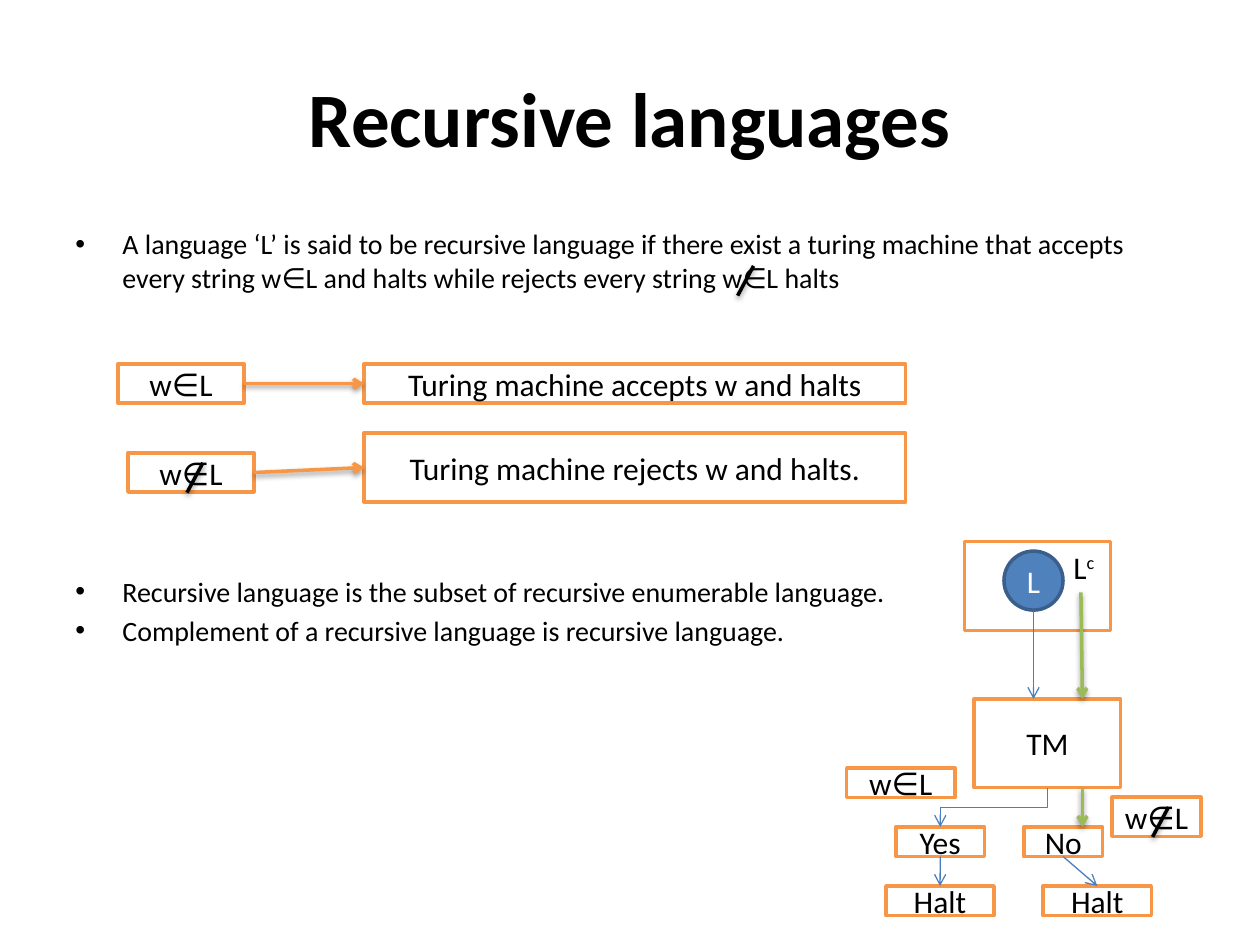
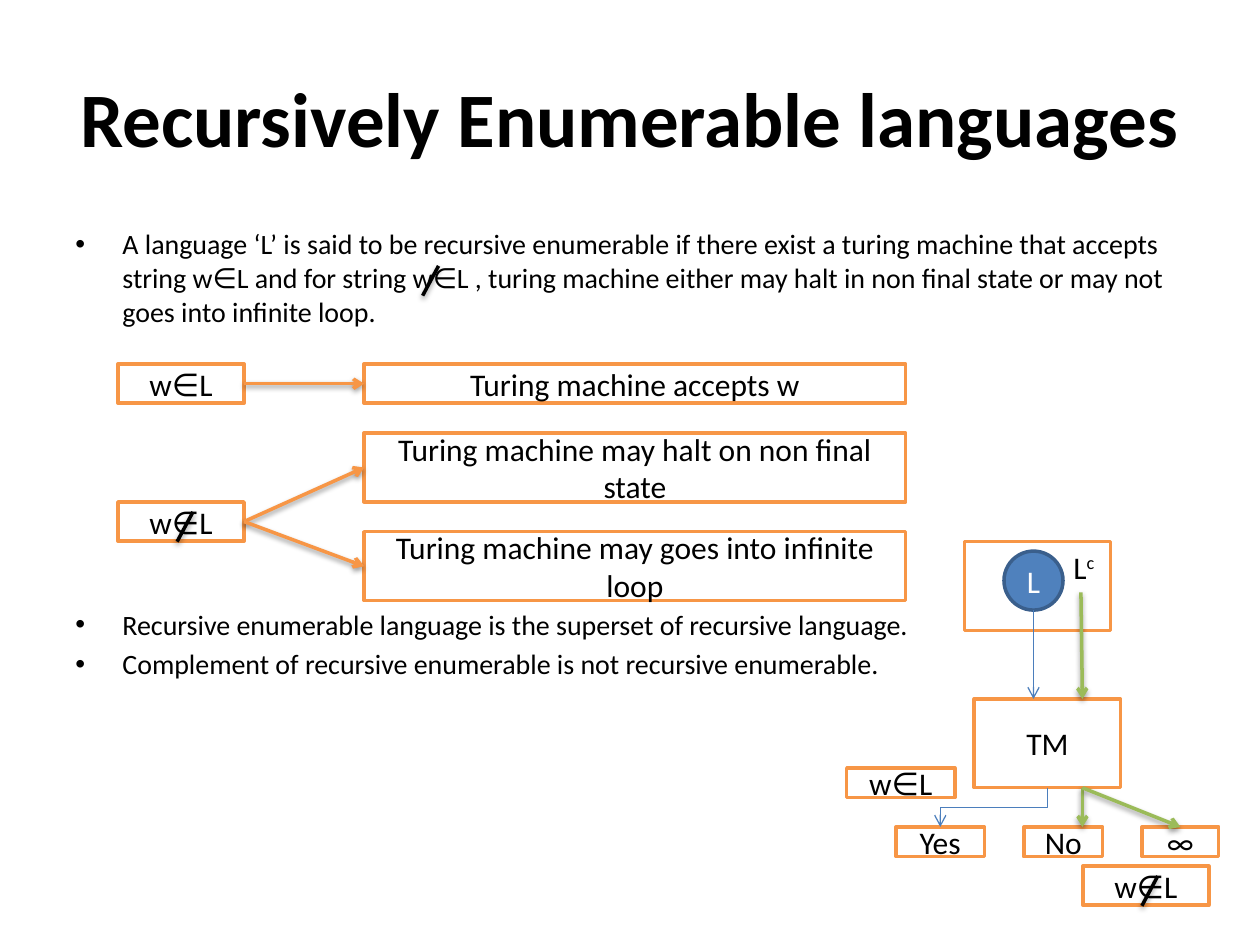
from dataclasses import dataclass
from typing import Any, NamedTuple

from lxml.etree import SubElement
from pptx import Presentation
from pptx.dml.color import RGBColor
from pptx.enum.shapes import MSO_CONNECTOR, MSO_SHAPE
from pptx.enum.text import MSO_ANCHOR, PP_ALIGN
from pptx.oxml.ns import qn
from pptx.util import Cm, Pt

BLACK = RGBColor(0x00, 0x00, 0x00)
WHITE = RGBColor(0xFF, 0xFF, 0xFF)
ORANGE = RGBColor(0xF7, 0x96, 0x46)
BLUE = RGBColor(0x4F, 0x81, 0xBD)
DARK_BLUE = RGBColor(0x3A, 0x5F, 0x8C)
LINE_BLUE = RGBColor(0x4B, 0x7E, 0xBC)
GREEN = RGBColor(0x9B, 0xBB, 0x59)

FONT = "Calibri"
MEMBER = "w∈L"
BULLET_INDENT = Cm(0.95)
REMARK_GAP = Pt(160)
BULLET_GAP = Pt(3.2)


class Point(NamedTuple):
    x: float
    y: float


@dataclass(frozen=True)
class Box:
    left: float
    top: float
    width: float
    height: float
    text: str = ""
    struck: bool = False
    shape_type: MSO_SHAPE = MSO_SHAPE.RECTANGLE
    fill: RGBColor = WHITE
    line: RGBColor = ORANGE
    text_color: RGBColor = BLACK

    @property
    def lengths(self) -> list[Cm]:
        return [Cm(value) for value in (self.left, self.top, self.width, self.height)]

    @property
    def top_center(self) -> Point:
        return Point(self.left + self.width / 2, self.top)

    @property
    def bottom_center(self) -> Point:
        return Point(self.left + self.width / 2, self.top + self.height)

    @property
    def left_middle(self) -> Point:
        return Point(self.left, self.top + self.height / 2)

    @property
    def right_middle(self) -> Point:
        return Point(self.left + self.width, self.top + self.height / 2)


class Arrow(NamedTuple):
    start: Point
    end: Point
    color: RGBColor
    elbow: bool = False


@dataclass(frozen=True)
class LanguageSlide:
    title: str
    definition: str
    remarks: list[str]
    definition_slash: Point
    boxes: list[Box]
    arrows: list[Arrow]


TITLE = Box(1.27, 0.76, 22.86, 3.18)
BODY = Box(1.27, 4.45, 22.86, 12.57)
COMPLEMENT = Box(21.39, 10.92, 0.97, 1.02)


def member_box(left: float, top: float, width: float = 2.54, struck: bool = True) -> Box:
    return Box(left, top, width, 0.79, MEMBER, struck)


def outcome_box(top: float, height: float, text: str) -> Box:
    return Box(7.34, top, 10.92, height, text)


def answer_box(left: float, width: float, text: str, top: float = 16.67) -> Box:
    return Box(left, top, width, 0.6, text)


ACCEPTED = member_box(2.38, 7.34, struck=False)
UNIVERSE = Box(19.44, 10.92, 2.95, 1.79)
LANGUAGE = Box(20.24, 11.11, 1.19, 1.19, "L", shape_type=MSO_SHAPE.OVAL,
               fill=BLUE, line=DARK_BLUE, text_color=WHITE)
MACHINE = Box(19.64, 14.09, 2.95, 1.79, "TM")
YES = answer_box(18.06, 1.79, "Yes")
NO = answer_box(20.64, 1.59, "No")
INFINITY = answer_box(23.02, 1.55, "∞")
ACCEPTED_LABEL = answer_box(17.07, 2.18, MEMBER, top=15.48)
HALTS = [answer_box(left, 2.18, "Halt", top=17.86) for left in (17.86, 21.03)]
COMPLEMENT_EXIT = Point(21.82, MACHINE.bottom_center.y)

MACHINE_BOXES = [UNIVERSE, LANGUAGE, MACHINE, YES, NO, ACCEPTED_LABEL]
MACHINE_ARROWS = [
    Arrow(LANGUAGE.bottom_center, Point(LANGUAGE.bottom_center.x, MACHINE.top), LINE_BLUE),
    Arrow(MACHINE.bottom_center, YES.top_center, LINE_BLUE, elbow=True),
    Arrow(Point(21.79, 11.94), Point(COMPLEMENT_EXIT.x, MACHINE.top), GREEN),
    Arrow(COMPLEMENT_EXIT, Point(COMPLEMENT_EXIT.x, NO.top), GREEN),
]


def outcome_arrows(source: Box, outcomes: list[Box]) -> list[Arrow]:
    return [Arrow(source.right_middle, outcome.left_middle, ORANGE) for outcome in outcomes]


RECURSIVE_REJECTED = member_box(2.58, 9.13)
RECURSIVE_ACCEPTS = outcome_box(7.34, 0.79, "Turing machine accepts w and halts")
RECURSIVE_REJECTS = outcome_box(8.73, 1.39, "Turing machine rejects w and halts.")
ENUMERABLE_REJECTED = member_box(2.38, 10.12)
ENUMERABLE_ACCEPTS = outcome_box(7.34, 0.79, "Turing machine accepts w")
ENUMERABLE_OUTCOMES = [
    outcome_box(8.73, 1.39, "Turing machine may halt on non final state"),
    outcome_box(10.72, 1.39, "Turing machine may goes into infinite loop"),
]

SLIDES = [
    LanguageSlide(
        "Recursive languages",
        "A language ‘L’ is said to be recursive language if there exist a turing machine "
        "that accepts every string w∈L and halts while rejects every string w∈L halts",
        ["Recursive language is the subset of recursive enumerable language.",
         "Complement of a recursive language is recursive language."],
        Point(15.19, 5.36),
        [ACCEPTED, RECURSIVE_ACCEPTS, RECURSIVE_REJECTED, RECURSIVE_REJECTS,
         *MACHINE_BOXES, member_box(22.42, 16.07, 1.79), *HALTS],
        [*MACHINE_ARROWS,
         *outcome_arrows(ACCEPTED, [RECURSIVE_ACCEPTS]),
         *outcome_arrows(RECURSIVE_REJECTED, [RECURSIVE_REJECTS]),
         *[Arrow(answer.bottom_center, halt.top_center, LINE_BLUE)
           for answer, halt in zip((YES, NO), HALTS)]],
    ),
    LanguageSlide(
        "Recursively Enumerable languages",
        "A language ‘L’ is said to be recursive enumerable if there exist a turing machine "
        "that accepts string w∈L and for string w∈L , turing machine either may halt in "
        "non final state or may not goes into infinite loop.",
        ["Recursive enumerable language is the superset of recursive language.",
         "Complement of recursive enumerable is not recursive enumerable."],
        Point(8.84, 5.36),
        [ACCEPTED, ENUMERABLE_ACCEPTS, ENUMERABLE_REJECTED, *ENUMERABLE_OUTCOMES,
         *MACHINE_BOXES, INFINITY, member_box(21.83, 17.46)],
        [*MACHINE_ARROWS,
         Arrow(COMPLEMENT_EXIT, INFINITY.top_center, GREEN),
         *outcome_arrows(ACCEPTED, [ENUMERABLE_ACCEPTS]),
         *outcome_arrows(ENUMERABLE_REJECTED, ENUMERABLE_OUTCOMES)],
    ),
]


def apply_format(target: Any, values: dict[str, Any]) -> None:
    for name, value in values.items():
        setattr(target, name, value)


def add_run(paragraph: Any, text: str, size: float, color: RGBColor = BLACK,
            bold: bool = False) -> Any:
    run = paragraph.add_run()
    run.text = text
    apply_format(run.font, {"name": FONT, "size": Pt(size), "bold": bold})
    run.font.color.rgb = color
    return run


def add_title(slide: Any, text: str) -> None:
    title = slide.shapes.title
    apply_format(title, dict(zip(("left", "top", "width", "height"), TITLE.lengths)))
    title.text_frame.vertical_anchor = MSO_ANCHOR.MIDDLE
    paragraph = title.text_frame.paragraphs[0]
    paragraph.alignment = PP_ALIGN.CENTER
    add_run(paragraph, text, 44, bold=True)


def add_body(slide: Any, definition: str, remarks: list[str]) -> None:
    text_frame = slide.shapes.add_textbox(*BODY.lengths).text_frame
    text_frame.word_wrap = True
    gaps = [Pt(0), REMARK_GAP] + [BULLET_GAP] * (len(remarks) - 1)
    for index, (text, gap) in enumerate(zip([definition, *remarks], gaps)):
        paragraph = text_frame.add_paragraph() if index else text_frame.paragraphs[0]
        properties = paragraph._p.get_or_add_pPr()
        properties.set("marL", str(BULLET_INDENT))
        properties.set("indent", str(-BULLET_INDENT))
        SubElement(properties, qn("a:buFont"), typeface="Arial")
        SubElement(properties, qn("a:buChar"), char="•")
        paragraph.space_before = gap
        add_run(paragraph, text, 16)


def add_box(slide: Any, box: Box) -> None:
    shape = slide.shapes.add_shape(box.shape_type, *box.lengths)
    shape.shadow.inherit = False
    shape.fill.solid()
    shape.fill.fore_color.rgb = box.fill
    shape.line.color.rgb = box.line
    shape.line.width = Pt(2)
    if box.text:
        shape.text_frame.vertical_anchor = MSO_ANCHOR.MIDDLE
        paragraph = shape.text_frame.paragraphs[0]
        paragraph.alignment = PP_ALIGN.CENTER
        add_run(paragraph, box.text, 18, box.text_color)
    if box.struck:
        add_slash(slide, Point(box.top_center.x + 0.24, box.top + 0.2))


def add_complement_label(slide: Any) -> None:
    text_frame = slide.shapes.add_textbox(*COMPLEMENT.lengths).text_frame
    text_frame.word_wrap = False
    paragraph = text_frame.paragraphs[0]
    add_run(paragraph, "L", 18)
    superscript = add_run(paragraph, "c", 18)
    superscript._r.get_or_add_rPr().set("baseline", "30000")


def add_line(slide: Any, start: Point, end: Point, color: RGBColor, width: float,
             shadow: bool, kind: MSO_CONNECTOR = MSO_CONNECTOR.STRAIGHT) -> Any:
    connector = slide.shapes.add_connector(
        kind, Cm(start.x), Cm(start.y), Cm(end.x), Cm(end.y))
    connector.line.color.rgb = color
    connector.line.width = Pt(width)
    effects = SubElement(connector.element.spPr, qn("a:effectLst"))
    if shadow:
        outer = SubElement(effects, qn("a:outerShdw"), blurRad=str(Pt(3.1)),
                           dist=str(Pt(1.6)), dir="5400000", rotWithShape="0")
        shade = SubElement(outer, qn("a:srgbClr"), val=str(BLACK))
        SubElement(shade, qn("a:alpha"), val="38000")
    return connector


def add_slash(slide: Any, top: Point) -> None:
    add_line(slide, top, Point(top.x - 0.32, top.y + 0.6), BLACK, 2, shadow=True)


def add_arrow(slide: Any, arrow: Arrow) -> None:
    start, end, color, elbow = arrow
    thin = color == LINE_BLUE
    kind = MSO_CONNECTOR.STRAIGHT
    if elbow:
        kind = MSO_CONNECTOR.ELBOW
        middle = Point((start.x + end.x) / 2, (start.y + end.y) / 2)
        half = Point((end.y - start.y) / 2, (start.x - end.x) / 2)
        start = Point(middle.x - half.x, middle.y - half.y)
        end = Point(middle.x + half.x, middle.y + half.y)
    connector = add_line(slide, start, end, color, 0.75 if thin else 2, not thin, kind)
    properties = connector.element.spPr
    if elbow:
        properties.find(qn("a:xfrm")).set("rot", "5400000")
    SubElement(properties.find(qn("a:ln")), qn("a:tailEnd"), type="arrow")


def add_language_slide(presentation: Any, content: LanguageSlide) -> None:
    slide = presentation.slides.add_slide(presentation.slide_layouts[5])
    add_title(slide, content.title)
    add_body(slide, content.definition, content.remarks)
    add_slash(slide, content.definition_slash)
    for box in content.boxes:
        add_box(slide, box)
    add_complement_label(slide)
    for arrow in content.arrows:
        add_arrow(slide, arrow)


def main() -> None:
    presentation = Presentation()
    presentation.slide_width = Cm(25.4)
    presentation.slide_height = Cm(19.05)
    for content in SLIDES:
        add_language_slide(presentation, content)
    presentation.save("out.pptx")


if __name__ == "__main__":
    main()
